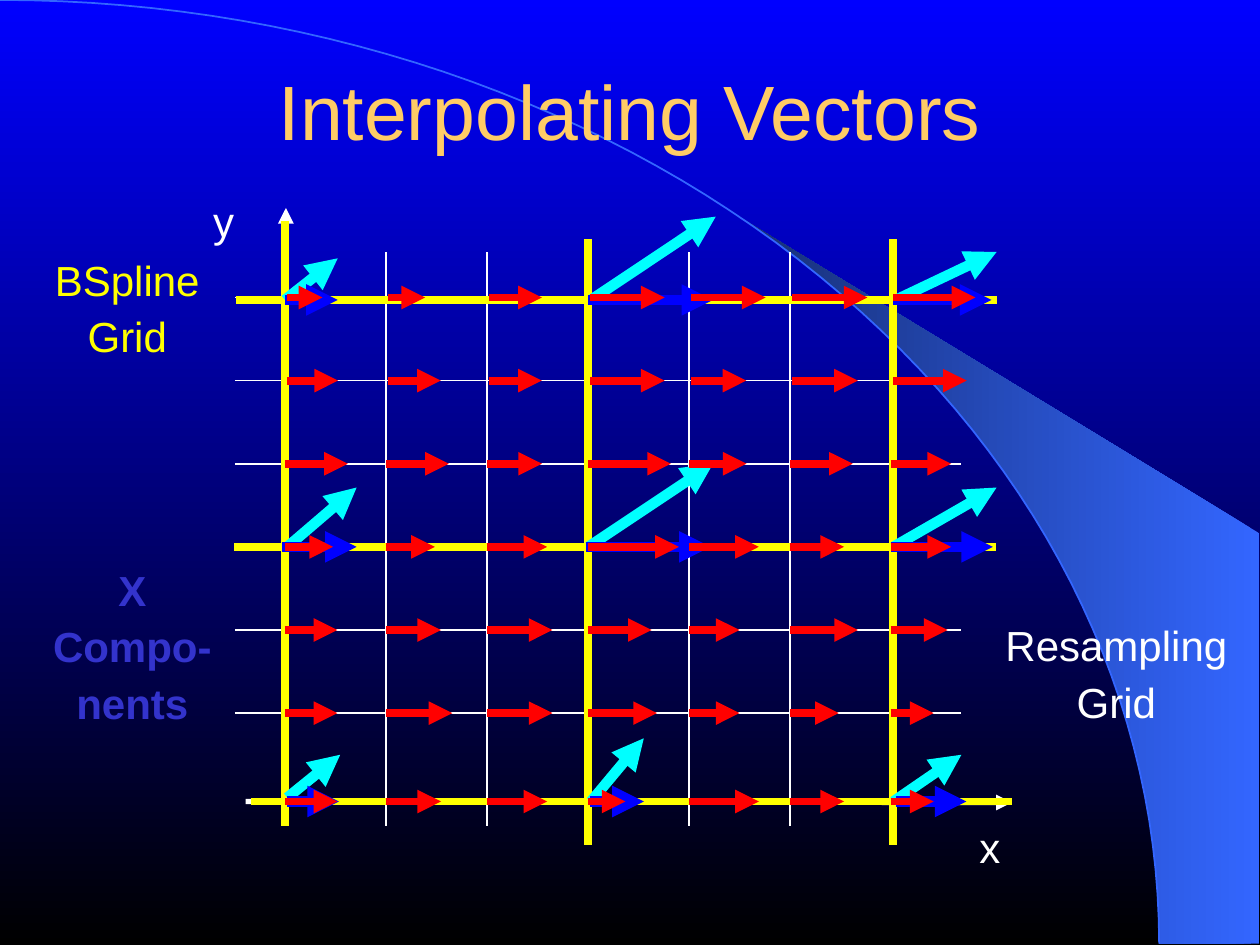
import math

from lxml import etree
from pptx import Presentation
from pptx.dml.color import RGBColor
from pptx.enum.shapes import MSO_CONNECTOR
from pptx.enum.text import MSO_ANCHOR, MSO_AUTO_SIZE, PP_ALIGN
from pptx.oxml.ns import qn
from pptx.util import Pt

STRAIGHT = MSO_CONNECTOR.STRAIGHT
MIDDLE = MSO_ANCHOR.MIDDLE
GROW = MSO_AUTO_SIZE.SHAPE_TO_FIT_TEXT
CENTER = PP_ALIGN.CENTER

WHITE, YELLOW, GOLD = "FFFFFF", "FFFF00", "FFCC66"
CYAN, BLUE, RED = "00FFFF", "0000FF", "FF0000"
INDIGO, SKY, NAVY, BLACK = "3333CC", "3366FF", "172F75", "000000"

COLUMNS = [162.8 + 57.7 * i for i in range(7)]
ROWS = [170 + 47.5 * i for i in range(6)] + [458]
GRID_X = [162.8, 336.2, 510.5]
TOP, CENTRE, BOTTOM = 171.4, 312.5, 458

VECTORS = [
    (336.2, CENTRE, 407.5, 265), (510.5, CENTRE, 569.5, 278.6),
    (337.7, TOP, 409, 123.8), (337.7, BOTTOM, 367.9, 421.9),
    (510.5, BOTTOM, 549.4, 431.3), (511.9, TOP, 569.5, 144),
    (164.2, CENTRE, 203.8, 278.6), (164.2, 455.8, 194.4, 431.3),
    (162.8, TOP, 193, 147.6),
]
X_COMPONENTS = {
    TOP: [(336.2, 407.5), (510.5, 566.6), (162.8, 193)],
    CENTRE: [(334.8, 406.1), (509, 567.4), (161.3, 203.8)],
    BOTTOM: [(337, 367.9), (511.9, 552.2), (164.2, 193.7)],
}
SAMPLE_LENGTHS = [
    (20, 21, 30, 42.5, 42.5, 43, 47),
    (29, 30, 30, 42.5, 31.5, 37.5, 42),
    (36, 36, 31.5, 47.5, 33, 36, 34.5),
    (27.5, 28, 34.5, 52, 40, 31, 34.5),
    (30, 31.5, 37.5, 36.5, 29, 39, 32.5),
    (30, 38, 37.5, 39.5, 29, 28, 24.5),
    (30, 31.5, 34.5, 21.5, 40, 31, 24.5),
]


def color(value):
    return RGBColor.from_string(value)


def ellipse_points(start, end, steps=60):
    angles = [math.radians(start + (end - start) * i / steps) for i in range(steps + 1)]
    return [(662.4 * math.cos(a), 539.2 * (1 - math.sin(a))) for a in angles]


class Painter:
    font = "Arial"

    def __init__(self, page):
        self.page = page

    def gradient(self, fill, first, last, angle):
        fill.gradient()
        fill.gradient_angle = angle
        for stop, value in zip(fill.gradient_stops, (first, last)):
            stop.color.rgb = color(value)

    def outline(self, points, closed):
        corners = [(Pt(x), Pt(y)) for x, y in points]
        builder = self.page.shapes.build_freeform(*corners[0])
        builder.add_line_segments(corners[1:], close=closed)
        shape = builder.convert_to_shape()
        shape.shadow.inherit = False
        return shape

    def wedge(self):
        points = ellipse_points(50.2, 0) + [(719.3, 539.2), (719.3, 304.6)]
        shape = self.outline(points, True)
        self.gradient(shape.fill, SKY, NAVY, 180)
        shape.line.fill.background()

    def arc(self):
        shape = self.outline(ellipse_points(0, 90), False)
        shape.fill.background()
        shape.line.color.rgb = color(SKY)
        shape.line.width = Pt(1)

    def style(self, para, size, value, bold=False):
        para.alignment = CENTER
        para.font.name = self.font
        para.font.size = Pt(size)
        para.font.bold = bold
        para.font.color.rgb = color(value)

    def title(self, text, left, top, width, height):
        box = self.page.shapes.title
        box.left, box.top, box.width, box.height = map(Pt, (left, top, width, height))
        frame = box.text_frame
        frame.margin_left = frame.margin_right = frame.margin_top = frame.margin_bottom = 0
        frame.vertical_anchor = MIDDLE
        frame.text = text
        self.style(frame.paragraphs[0], 44, GOLD)
        box.element.getparent().append(box.element)

    def label(self, lines, left, top, width, height, value, spacing=0.6, bold=False):
        box = self.page.shapes.add_textbox(Pt(left), Pt(top), Pt(width), Pt(height))
        frame = box.text_frame
        frame.word_wrap = True
        frame.auto_size = GROW
        frame.text = "\n".join(lines)
        for index, para in enumerate(frame.paragraphs):
            self.style(para, 24, value, bold)
            para.line_spacing = spacing
            if index:
                para.space_before = Pt(15)

    def line(self, x1, y1, x2, y2, value, width, arrow=False):
        connector = self.page.shapes.add_connector(STRAIGHT, Pt(x1), Pt(y1), Pt(x2), Pt(y2))
        connector.line.color.rgb = color(value)
        connector.line.width = Pt(width)
        properties = connector.element.spPr
        if arrow:
            etree.SubElement(properties.find(qn("a:ln")), qn("a:tailEnd"), type="triangle")
        etree.SubElement(properties, qn("a:effectLst"))


def main():
    deck = Presentation()
    deck.slide_width, deck.slide_height = Pt(720), Pt(540)
    page = deck.slides.add_slide(deck.slide_layouts[5])
    painter = Painter(page)
    painter.gradient(page.background.fill, BLUE, BLACK, 270)
    painter.wedge()
    painter.arc()
    painter.title("Interpolating Vectors", 54, 8.6, 612, 108.7)

    painter.label(["y"], 114.3, 113.8, 27, 30.2, WHITE, 0.8)
    painter.line(162.8, 471.6, 163.4, 118.8, WHITE, 3, True)
    painter.line(140.4, 458, 578.2, 458.6, WHITE, 3, True)
    for y in ROWS[:-1]:
        painter.line(134.3, y, 549.4, y, WHITE, 1)
    for x in COLUMNS[1:]:
        painter.line(x, 144, x, 472.3, WHITE, 1)
    painter.label(["x"], 552.2, 471.6, 27, 30.2, WHITE, 0.8)

    for x, top in zip(GRID_X, (126, 136.8, 136.8)):
        painter.line(x, top, x, top + 346.3, YELLOW, 4.5)
    for y, left in ((BOTTOM, 143.3), (CENTRE, 134), (TOP, 134.6)):
        painter.line(left, y, left + 435, y, YELLOW, 4.5)
    for vector in VECTORS:
        painter.line(*vector, CYAN, 6, True)

    painter.label(["BSpline", "Grid"], 17.3, 151.9, 110.9, 56.9, YELLOW)
    painter.label(["Resampling", "Grid"], 566.6, 360.7, 142.6, 56.9, WHITE)
    for y, spans in X_COMPONENTS.items():
        for start, end in spans:
            painter.line(start, y, end, y, BLUE, 6, True)
    painter.label(["X", "Compo-", "nents"], 4.3, 329, 142.6, 89.3, INDIGO, bold=True)

    for row, (y, lengths) in enumerate(zip(ROWS, SAMPLE_LENGTHS)):
        shift = 1.4 if row < 2 else 0
        for x, length in zip(COLUMNS, lengths):
            painter.line(x + shift, y, x + shift + length, y, RED, 4.5, True)

    deck.save("out.pptx")


if __name__ == "__main__":
    main()
